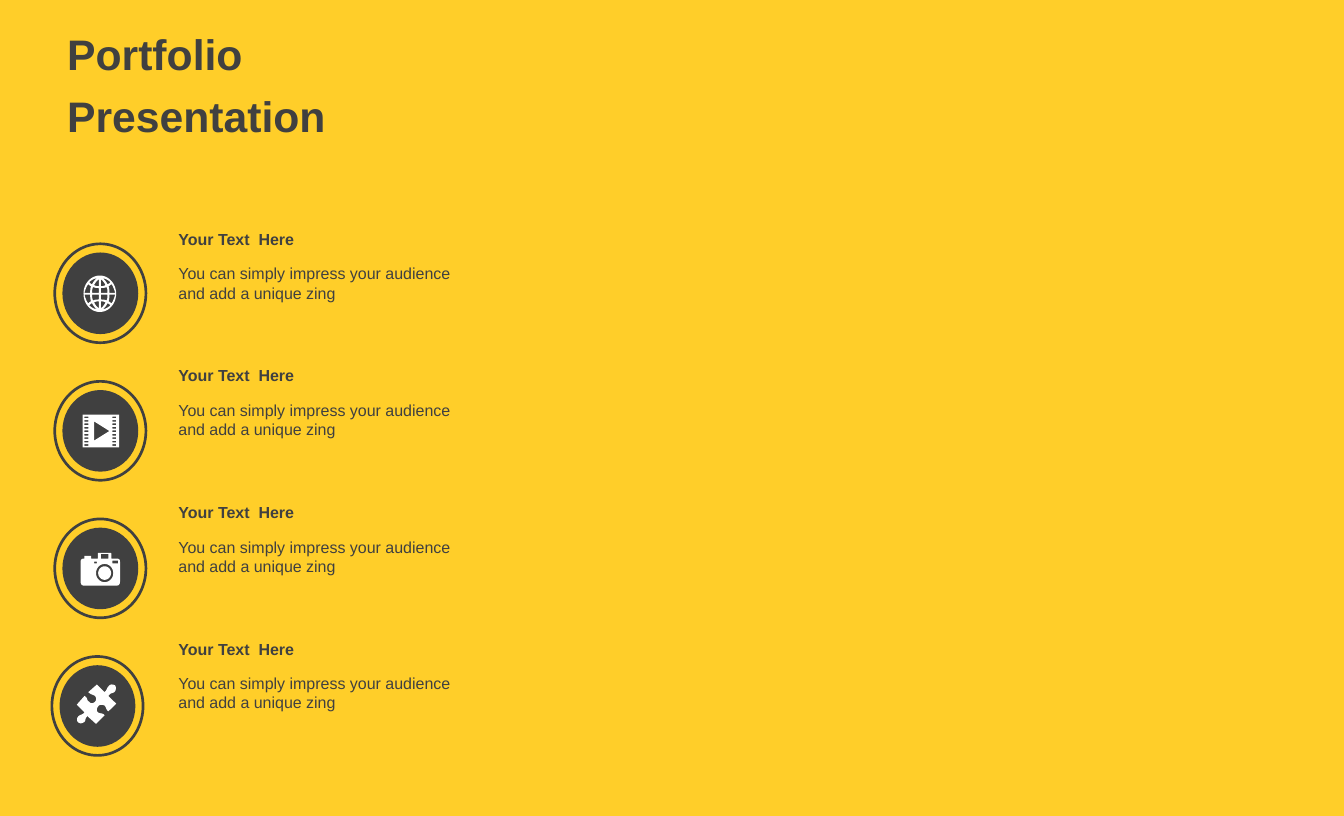
from math import cos, pi, sin

from pptx import Presentation
from pptx.dml.color import RGBColor
from pptx.enum.shapes import MSO_SHAPE
from pptx.enum.text import MSO_ANCHOR, MSO_AUTO_SIZE, PP_ALIGN
from pptx.util import Inches, Pt

OVAL = MSO_SHAPE.OVAL
TOP = MSO_ANCHOR.TOP
LEFT = PP_ALIGN.LEFT
NO_FIT = MSO_AUTO_SIZE.NONE
GROW = MSO_AUTO_SIZE.SHAPE_TO_FIT_TEXT

YELLOW, DARK, WHITE = "FFCE29", "404040", "FFFFFF"
FONT = "Arial"
TITLE_LINES = ["Portfolio", "Presentation"]
HEADING = "Your Text  Here"
DETAIL = "You can simply impress your audience and add a unique zing"
BADGE_LEFTS = [0.57, 0.57, 0.57, 0.54]
BADGE_TOP, BADGE_STEP = 2.54, 1.433
TEXT_TOP, TEXT_STEP = 2.34, 1.423

GLOBE_CENTRE = (1.04, 3.06)
GLOBE_CELLS = [
    [(0.01, 0.01), (0.08, 0.01), (0.08, 0.03, 0.08, 0.05, 0.07, 0.07), (0.05, 0.06, 0.03, 0.06, 0.01, 0.06)],
    [(0.1, 0.01), (0.16, 0.01), (0.15, 0.04, 0.14, 0.08, 0.12, 0.1), (0.11, 0.09, 0.1, 0.08, 0.09, 0.08),
     (0.1, 0.06, 0.1, 0.03, 0.1, 0.01)],
    [(0.01, 0.15), (0.01, 0.08), (0.03, 0.08, 0.04, 0.08, 0.06, 0.09), (0.05, 0.11, 0.03, 0.14, 0.01, 0.15)],
    [(0.03, 0.16), (0.05, 0.15, 0.07, 0.12, 0.08, 0.1), (0.09, 0.1, 0.1, 0.11, 0.11, 0.12),
     (0.09, 0.14, 0.06, 0.16, 0.03, 0.16)],
]
CAMERA_BODY = [
    (1.03, 5.76), (1.15, 5.76), (1.15, 5.76, 1.16, 5.76, 1.16, 5.77), (1.16, 5.82), (1.22, 5.82),
    (1.24, 5.82, 1.25, 5.83, 1.25, 5.85), (1.25, 6.06), (1.25, 6.08, 1.24, 6.1, 1.22, 6.1),
    (0.87, 6.1), (0.85, 6.1, 0.84, 6.08, 0.84, 6.06), (0.84, 5.85), (0.84, 5.83, 0.85, 5.82, 0.87, 5.82),
    (0.88, 5.82), (0.88, 5.79), (0.95, 5.79), (0.95, 5.82), (1.02, 5.82), (1.02, 5.77),
    (1.02, 5.76, 1.02, 5.76, 1.03, 5.76),
]
PUZZLE_PIECE = [
    (1.2, 7.14), (1.21, 7.16, 1.21, 7.18, 1.2, 7.2), (1.18, 7.23, 1.15, 7.21, 1.13, 7.25),
    (1.21, 7.33), (1.13, 7.41), (1.1, 7.39, 1.11, 7.37, 1.09, 7.35), (1.07, 7.34, 1.04, 7.34, 1.03, 7.35),
    (1.01, 7.37, 1, 7.4, 1.02, 7.42), (1.05, 7.44, 1.06, 7.42, 1.09, 7.45), (1, 7.54), (0.91, 7.46),
    (0.88, 7.49, 0.9, 7.49, 0.88, 7.52), (0.85, 7.54, 0.83, 7.54, 0.81, 7.52),
    (0.8, 7.51, 0.8, 7.48, 0.81, 7.47), (0.83, 7.44, 0.86, 7.45, 0.88, 7.42), (0.8, 7.34), (0.88, 7.25),
    (0.92, 7.27, 0.9, 7.3, 0.93, 7.31), (0.94, 7.33, 0.97, 7.33, 0.99, 7.31),
    (1, 7.3, 1.01, 7.27, 0.99, 7.25), (0.96, 7.23, 0.95, 7.24, 0.92, 7.21), (1.01, 7.13), (1.09, 7.21),
    (1.12, 7.18, 1.11, 7.17, 1.13, 7.15), (1.15, 7.12, 1.18, 7.13, 1.2, 7.14),
]


def colour(value):
    return RGBColor.from_string(value)


def rectangle(left, top, right, bottom):
    return [(left, top), (right, top), (right, bottom), (left, bottom)]


def ring(x, y, radius_x, radius_y):
    angles = [2 * pi * step / 48 for step in range(48)]
    return [(x + radius_x * cos(angle), y + radius_y * sin(angle)) for angle in angles]


def flatten(segments):
    points = []
    for segment in segments:
        if len(segment) == 2:
            points.append(segment)
            continue
        controls = [points[-1], segment[:2], segment[2:4], segment[4:]]
        for step in range(1, 9):
            t = step / 8
            weights = [(1 - t) ** 3, 3 * t * (1 - t) ** 2, 3 * t * t * (1 - t), t ** 3]
            points.append(tuple(sum(w * c[axis] for w, c in zip(weights, controls)) for axis in (0, 1)))
    return points


def globe():
    x, y = GLOBE_CENTRE
    cells = [[(x + across * dx, y + down * dy) for dx, dy in flatten(cell)]
             for cell in GLOBE_CELLS for across in (-1, 1) for down in (-1, 1)]
    return [ring(x, y, 0.17, 0.19)] + cells


def film():
    holes = [rectangle(left, 4.34 + row * 0.036, left + 0.04, 4.357 + row * 0.036)
             for row in range(9) for left in (0.88, 1.17)]
    return [rectangle(0.86, 4.32, 1.24, 4.66), [(0.98, 4.39), (0.98, 4.59), (1.14, 4.49)]] + holes


def camera():
    return [CAMERA_BODY, ring(1.09, 5.97, 0.09, 0.095), ring(1.09, 5.97, 0.067, 0.07),
            rectangle(0.98, 5.85, 1.01, 5.87), rectangle(1.17, 5.84, 1.23, 5.87),
            rectangle(1.05, 5.77, 1.13, 5.82)]


def paint(shape, fill, line=None):
    shape.shadow.inherit = False
    shape.fill.solid()
    shape.fill.fore_color.rgb = colour(fill)
    if line:
        shape.line.color.rgb = colour(line)
        shape.line.width = Pt(2)
    else:
        shape.line.fill.background()


def add_oval(left, top, width, height, fill, line=None):
    paint(page.shapes.add_shape(OVAL, Inches(left), Inches(top), Inches(width), Inches(height)), fill, line)


def add_icon(contours):
    builder = None
    for contour in contours:
        points = [(Inches(x), Inches(y)) for x, y in flatten(contour)]
        if builder is None:
            builder = page.shapes.build_freeform(*points[0])
        else:
            builder.move_to(*points[0])
        builder.add_line_segments(points[1:], close=True)
    paint(builder.convert_to_shape(), WHITE)


def style(para, size, bold):
    para.alignment = LEFT
    for span in para.runs:
        span.font.name = FONT
        span.font.size = Pt(size)
        span.font.bold = bold
        span.font.color.rgb = colour(DARK)


def add_text(top, height, text, bold):
    frame = page.shapes.add_textbox(Inches(1.76), Inches(top), Inches(3.09), Inches(height)).text_frame
    frame.word_wrap = True
    frame.auto_size = GROW
    frame.text = text
    style(frame.paragraphs[0], 12, bold)


deck = Presentation()
deck.slide_width, deck.slide_height = Inches(14), Inches(8.5)
page = deck.slides.add_slide(deck.slide_layouts[5])
page.background.fill.solid()
page.background.fill.fore_color.rgb = colour(YELLOW)

title = page.shapes.title
title.left, title.top, title.width, title.height = Inches(0.6), Inches(0.24), Inches(4.52), Inches(1.98)
title_frame = title.text_frame
title_frame.word_wrap = True
title_frame.auto_size = NO_FIT
title_frame.vertical_anchor = TOP
title_frame.text = "\n".join(TITLE_LINES)
for para in title_frame.paragraphs:
    para.space_before = Pt(8)
    style(para, 32, True)

icons = [globe(), film(), camera(), [PUZZLE_PIECE]]
for row, (left, icon) in enumerate(zip(BADGE_LEFTS, icons)):
    badge_top = BADGE_TOP + row * BADGE_STEP
    text_top = TEXT_TOP + row * TEXT_STEP
    add_oval(left, badge_top, 0.95, 1.03, YELLOW, DARK)
    add_oval(left + 0.08, badge_top + 0.09, 0.79, 0.85, DARK)
    add_icon(icon)
    add_text(text_top, 0.3, HEADING, True)
    add_text(text_top + 0.36, 0.5, DETAIL, False)

deck.save("out.pptx")
